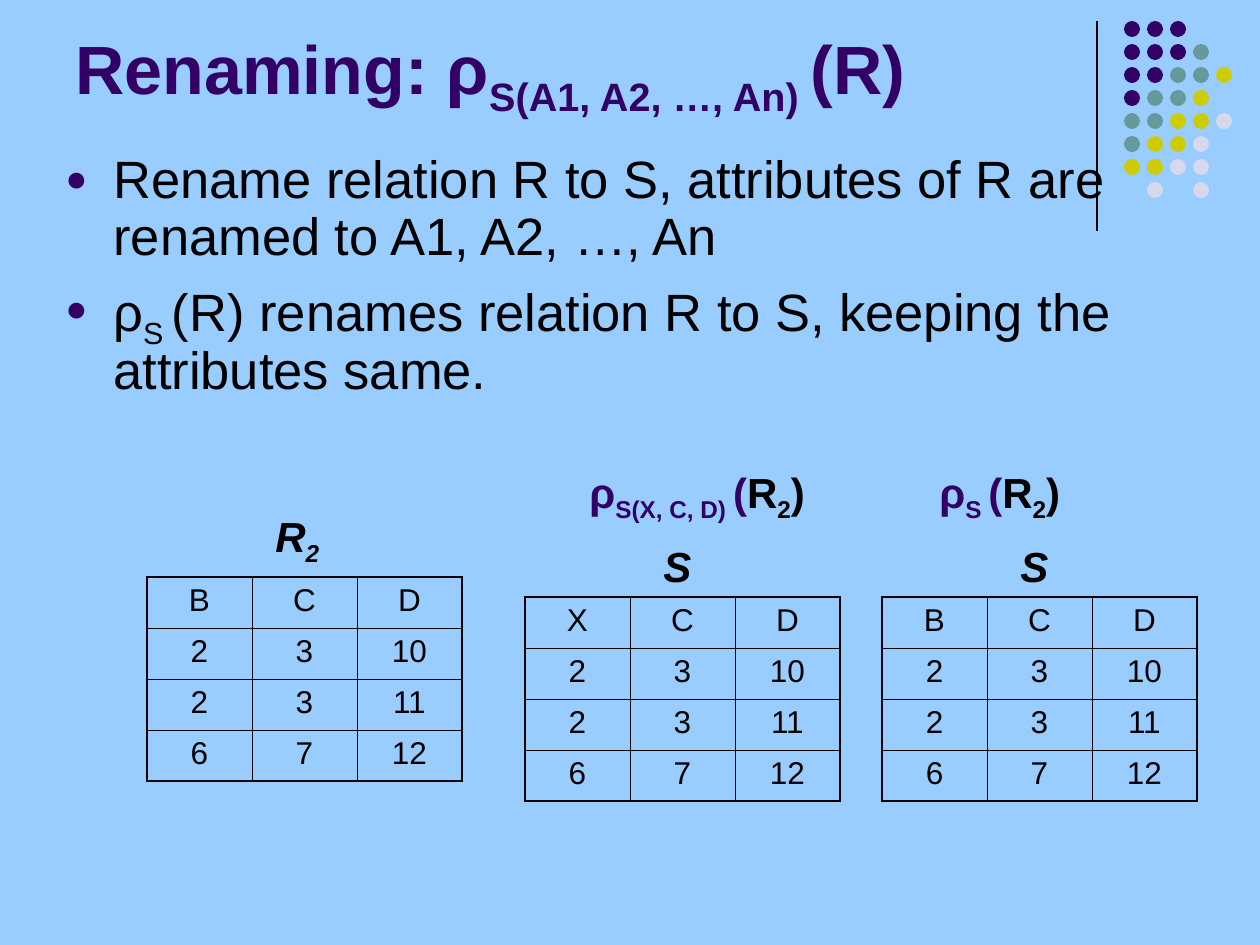
from dataclasses import dataclass

from lxml import etree
from pptx import Presentation
from pptx.dml.color import RGBColor
from pptx.enum.shapes import MSO_CONNECTOR, MSO_SHAPE
from pptx.enum.text import MSO_ANCHOR, MSO_AUTO_SIZE, PP_ALIGN
from pptx.oxml.ns import qn
from pptx.util import Emu, Pt

STRAIGHT = MSO_CONNECTOR.STRAIGHT
OVAL = MSO_SHAPE.OVAL
TOP, BOTTOM = MSO_ANCHOR.TOP, MSO_ANCHOR.BOTTOM
FIT_SHAPE = MSO_AUTO_SIZE.SHAPE_TO_FIT_TEXT
CENTER = PP_ALIGN.CENTER

PX_PER_INCH = 126
FONT = "Arial"
COLORS = {
    "sky": "99CCFF",
    "ink": "000000",
    "purple": "330066",
    "teal": "669999",
    "olive": "CCCC00",
    "mist": "D8D8EC",
}


@dataclass(frozen=True)
class Run:
    text: str
    color: str = "ink"
    sub: bool = False


@dataclass(frozen=True)
class Label:
    left: int
    top: int
    width: int
    height: int
    runs: tuple[Run, ...]
    italic: bool = False


@dataclass(frozen=True)
class Relation:
    left: int
    top: int
    header: tuple[str, ...]


# Content
TITLE = (
    Run("Renaming: ρ", "purple"),
    Run("S(A1, A2, …, An) ", "purple", True),
    Run("(R)", "purple"),
)
BULLETS = (
    (Run("Rename relation R to S, attributes of R are renamed to A1, A2, …, An"),),
    (
        Run("ρ"),
        Run("S ", sub=True),
        Run("(R) renames relation R to S, keeping the attributes same."),
    ),
)
R2_ARGUMENT = (Run("(", "purple"), Run("R"), Run("2", sub=True), Run(")"))
LABELS = (
    Label(263, 504, 69, 71, (Run("R"), Run("2", sub=True)), italic=True),
    Label(577, 460, 241, 71,
          (Run("ρ", "purple"), Run("S(X, C, D) ", "purple", True), *R2_ARGUMENT)),
    Label(651, 534, 53, 63, (Run("S"),), italic=True),
    Label(927, 460, 146, 71,
          (Run("ρ", "purple"), Run("S ", "purple", True), *R2_ARGUMENT)),
    Label(1008, 534, 53, 63, (Run("S"),), italic=True),
)
TUPLES = (("2", "3", "10"), ("2", "3", "11"), ("6", "7", "12"))
RELATIONS = (
    Relation(147, 577, ("B", "C", "D")),
    Relation(525, 597, ("X", "C", "D")),
    Relation(882, 597, ("B", "C", "D")),
)
COLUMN_WIDTH, ROW_HEIGHT = 105, 51
OUTER_LINE, INNER_LINE = Pt(1.08), Pt(0.45)

# Each letter is a dot colour, each dot an empty place
DOT_ROWS = ("ppp..", "pppt.", "pptto", "ptto.", "ttoom", "toom.", "oomm.", ".m.m.")
DOT_COLORS = {"p": "purple", "t": "teal", "o": "olive", "m": "mist"}
DOT_LEFT, DOT_TOP, DOT_PITCH, DOT_SIZE = 1124, 21, 23, 16


def px(length: int) -> Emu:
    return Emu(round(length * 914400 / PX_PER_INCH))


def rgb(name: str) -> RGBColor:
    return RGBColor.from_string(COLORS[name])


def write(paragraph, runs: tuple[Run, ...], **formats) -> None:
    for part in runs:
        run = paragraph.add_run()
        run.text = part.text
        for attribute, value in {"name": FONT, **formats}.items():
            setattr(run.font, attribute, value)
        run.font.color.rgb = rgb(part.color)
        if part.sub:
            run.font._element.set("baseline", "-25000")


def add_frame(slide, left: int, top: int, width: int, height: int, **formats):
    frame = slide.shapes.add_textbox(*map(px, (left, top, width, height))).text_frame
    for attribute, value in formats.items():
        setattr(frame, attribute, value)
    return frame


def add_bullet(paragraph) -> None:
    properties = paragraph._p.get_or_add_pPr()
    properties.set("marL", str(px(48)))
    properties.set("indent", str(-px(48)))
    color = etree.SubElement(properties, qn("a:buClr"))
    etree.SubElement(color, qn("a:srgbClr"), val=COLORS["purple"])
    etree.SubElement(properties, qn("a:buSzPct"), val="70000")
    etree.SubElement(properties, qn("a:buFont"), typeface=FONT)
    etree.SubElement(properties, qn("a:buChar"), char="●")


def add_dots(slide) -> None:
    dots = slide.shapes.add_group_shape()
    for row, letters in enumerate(DOT_ROWS):
        for column, letter in enumerate(letters):
            if letter not in DOT_COLORS:
                continue
            dot = dots.shapes.add_shape(
                OVAL, px(DOT_LEFT + column * DOT_PITCH), px(DOT_TOP + row * DOT_PITCH),
                px(DOT_SIZE), px(DOT_SIZE))
            dot.shadow.inherit = False
            dot.fill.solid()
            dot.fill.fore_color.rgb = rgb(DOT_COLORS[letter])
            dot.line.fill.background()


def add_border(cell, side: str, width: Emu) -> None:
    line = etree.SubElement(cell._tc.get_or_add_tcPr(), qn(f"a:{side}"), w=str(width))
    fill = etree.SubElement(line, qn("a:solidFill"))
    etree.SubElement(fill, qn("a:srgbClr"), val=COLORS["ink"])


def add_relation(slide, relation: Relation) -> None:
    rows = (relation.header, *TUPLES)
    last_row, last_column = len(rows) - 1, len(relation.header) - 1
    table = slide.shapes.add_table(
        len(rows), len(relation.header), px(relation.left), px(relation.top),
        px(COLUMN_WIDTH * len(relation.header)), px(ROW_HEIGHT * len(rows))).table
    table.first_row = table.horz_banding = False
    for r, values in enumerate(rows):
        for c, value in enumerate(values):
            cell = table.cell(r, c)
            outer_sides = {"lnL": c == 0, "lnR": c == last_column,
                           "lnT": r == 0, "lnB": r == last_row}
            for side, is_outer in outer_sides.items():
                add_border(cell, side, OUTER_LINE if is_outer else INNER_LINE)
            cell.fill.background()
            paragraph = cell.text_frame.paragraphs[0]
            paragraph.alignment = CENTER
            write(paragraph, (Run(value),), size=Pt(18))


def main() -> None:
    deck = Presentation()
    deck.slide_width, deck.slide_height = px(1260), px(945)
    slide = deck.slides.add_slide(deck.slide_layouts[6])
    slide.background.fill.solid()
    slide.background.fill.fore_color.rgb = rgb("sky")

    # Corner decoration
    rule = slide.shapes.add_connector(STRAIGHT, px(1097), px(21), px(1097), px(231))
    rule.line.color.rgb = rgb("ink")
    rule.line.width = Pt(0.75)
    etree.SubElement(rule._element.spPr, qn("a:effectLst"))
    add_dots(slide)

    # Title and bullets
    title = add_frame(slide, 63, 16, 1040, 110, word_wrap=True, vertical_anchor=BOTTOM)
    write(title.paragraphs[0], TITLE, size=Pt(39), bold=True)
    body = add_frame(slide, 53, 147, 1134, 273, word_wrap=True, vertical_anchor=TOP)
    for index, runs in enumerate(BULLETS):
        paragraph = body.add_paragraph() if index else body.paragraphs[0]
        add_bullet(paragraph)
        paragraph.line_spacing = 0.9
        if index:
            paragraph.space_before = Pt(7.5)
        write(paragraph, runs, size=Pt(30))

    # Relations and their names
    for relation in RELATIONS:
        add_relation(slide, relation)
    for label in LABELS:
        frame = add_frame(slide, label.left, label.top, label.width, label.height,
                          word_wrap=False, auto_size=FIT_SHAPE)
        write(frame.paragraphs[0], label.runs, size=Pt(24), bold=True, italic=label.italic)

    deck.save("out.pptx")


if __name__ == "__main__":
    main()
